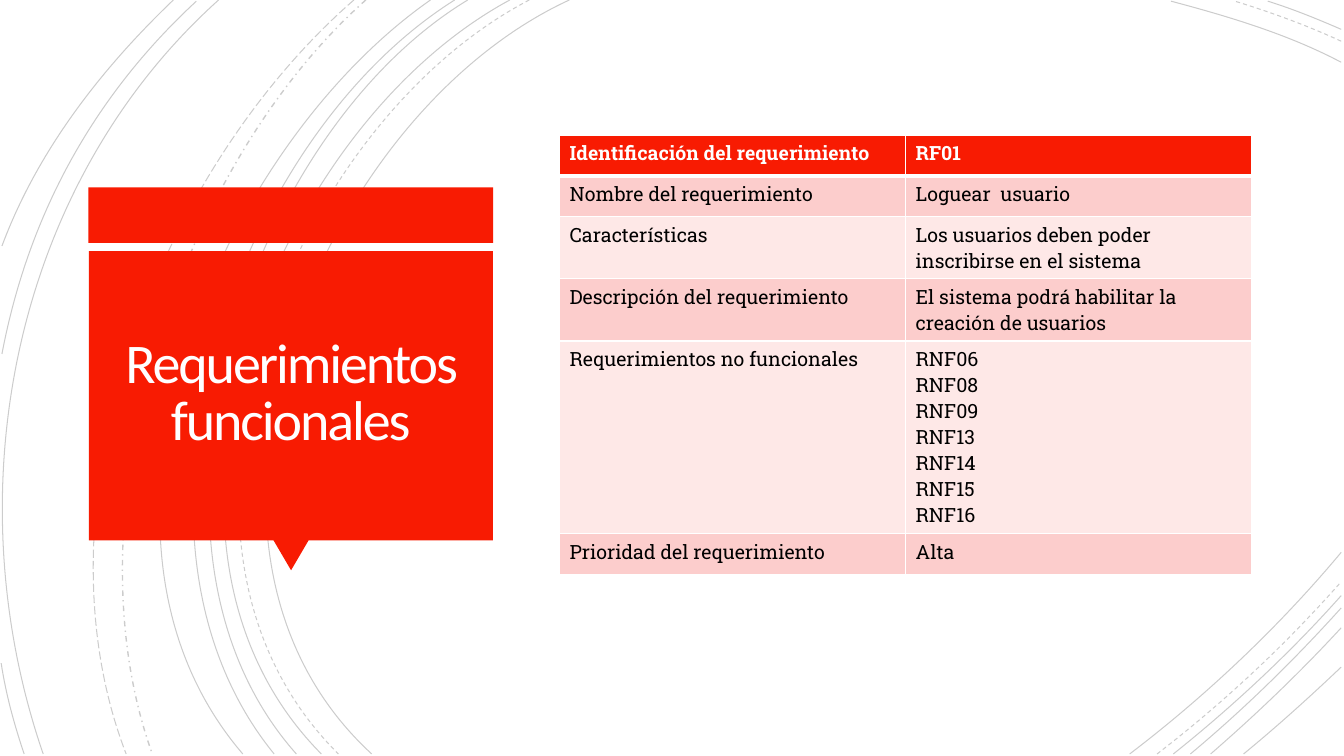
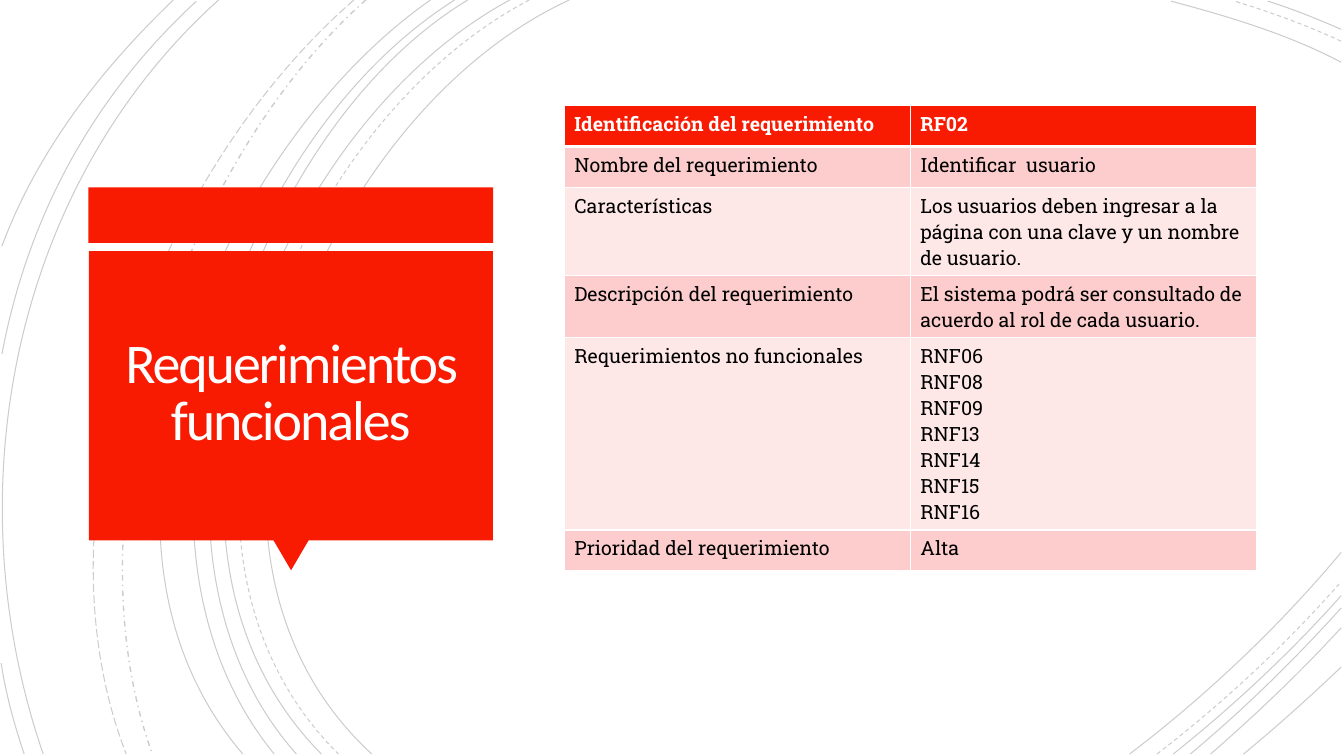
import lxml.etree
import pptx
import pptx.dml.color
import pptx.enum.dml
import pptx.enum.shapes
import pptx.enum.text
import pptx.oxml.ns
import pptx.util

Cm = pptx.util.Cm
Pt = pptx.util.Pt
qn = pptx.oxml.ns.qn
Shape = pptx.enum.shapes.MSO_SHAPE
Dash = pptx.enum.dml.MSO_LINE

COLORS = {
    "accent": "F81B02",
    "title": "FFFEFF",
    "white": "FFFFFF",
    "black": "000000",
    "dark_band": "FCCDCC",
    "light_band": "FEE8E7",
}
TITLE_FONT = "Calibri"
TABLE_FONT = "Roboto Slab"

# Areas are left, top, width, height in centimetres.
BAND = (2.23, 4.72, 10.2, 1.4)
PANEL = (2.24, 6.33, 10.18, 7.29)
POINTER = (6.89, 13.61, 0.89, 0.76)
TITLE = (2.46, 6.53, 9.73, 6.83)

BOTTOM = 19
RIGHT = 33.8
COLUMN_WIDTH = 8.72
MINIMUM_ROW_HEIGHT = 1.03
LINE_HEIGHT = 0.65
CELL_PADDING = 0.25

# Start x at the top, two control points, end x at the bottom, dash.
LONG_ARCS = [
    (14.35, (8, 2.92), (3.63, 13.72), 9.37, Dash.SOLID),
    (13.34, (7.24, 3.18), (3.12, 13.64), 8.53, Dash.DASH),
    (12.85, (6.86, 3.23), (2.79, 13.64), 8.1, Dash.SOLID),
    (11.79, (6.2, 3.38), (2.79, 13.74), 7.47, Dash.SOLID),
    (11.46, (5.87, 3.51), (2.46, 13.54), 6.91, Dash.SOLID),
    (10.85, (5.51, 3.73), (1.35, 13.44), 6.12, Dash.SOLID),
    (9.22, (4.47, 4.22), (1.65, 12.93), 3.84, Dash.DASH_DOT),
    (8.92, (3.99, 4.29), (0.74, 12.67), 3.18, Dash.LONG_DASH),
    (5.51, (0.28, 4.7), (-1.17, 12.45), 1.09, Dash.SOLID),
]
# Start y at the right, two control points, end x at the top, dash.
TOP_RIGHT_ARCS = [
    (1.57, (32.46, 0.86), (30.94, 0.41), 29.51, Dash.SOLID),
    (1.04, (32.94, 0.64), (32, 0.3), 31.12, Dash.DASH),
    (0.74, (33.2, 0.48), (32.59, 0.23), 31.95, Dash.SOLID),
]
# Start x at the bottom, two control points, end y at the right, dash.
BOTTOM_RIGHT_ARCS = [
    (28.47, (30.4, 17.53), (32.23, 15.8), 13.92, Dash.SOLID),
    (29.16, (30.81, 17.73), (32.39, 16.26), 14.66, Dash.DASH),
    (29.57, (31.06, 17.81), (32.51, 16.46), 15.01, Dash.SOLID),
    (30, (31.34, 17.88), (32.61, 16.64), 15.32, Dash.SOLID),
    (30.51, (31.65, 18.01), (32.77, 16.94), 15.82, Dash.SOLID),
    (31.34, (32.18, 18.31), (32.99, 17.58), 16.81, Dash.SOLID),
]
LEFT_ARCS = [
    ((4.95, 0.03), (2.34, 2.44), (0.71, 5.44), (0.05, 8.92)),
    ((0.03, 16.71), (0.15, 17.5), (0.36, 18.26), (0.61, BOTTOM)),
    ((4.37, 0), (2.54, 1.75), (0.94, 3.81), (0.05, 6.2)),
]

ROW_LABELS = [
    "Identificación del requerimiento",
    "Nombre del requerimiento",
    "Características",
    "Descripción del requerimiento",
    "Requerimientos no funcionales",
    "Prioridad del requerimiento",
]
NON_FUNCTIONAL = "\n".join(f"RNF{number}" for number in ("06", "08", "09", "13", "14", "15", "16"))

# Table corner, values and the number of text lines in each row.
REQUIREMENTS = [
    {
        "corner": (14.1, 3.4),
        "values": [
            "RF01",
            "Loguear  usuario",
            "Los usuarios deben poder inscribirse en el sistema",
            "El sistema podrá habilitar la creación de usuarios",
            NON_FUNCTIONAL,
            "Alta",
        ],
        "lines": [1, 1, 2, 2, 7, 1],
    },
    {
        "corner": (14.22, 2.66),
        "values": [
            "RF02",
            "Identificar  usuario",
            "Los usuarios deben ingresar a la página con una clave y un nombre de usuario.",
            "El sistema podrá ser consultado de acuerdo al rol de cada usuario.",
            NON_FUNCTIONAL,
            "Alta",
        ],
        "lines": [1, 1, 3, 2, 7, 1],
    },
]


def rgb(name):
    return pptx.dml.color.RGBColor.from_string(COLORS[name])


def place(shape, area):
    shape.left, shape.top, shape.width, shape.height = (Cm(length) for length in area)


def set_font(font, name, size, color, bold=False):
    font.name = name
    font.size = Pt(size)
    font.bold = bold
    font.color.rgb = rgb(color)


def bend(freeform):
    """Turn the three line segments of a freeform into one cubic Bézier curve."""
    outline = freeform.element.find(".//" + qn("a:path"))
    curve = lxml.etree.SubElement(outline, qn("a:cubicBezTo"))
    for segment in outline.findall(qn("a:lnTo")):
        curve.append(segment.find(qn("a:pt")))
        outline.remove(segment)


def add_arc(slide, start, control_1, control_2, end, dash=Dash.SOLID):
    points = [(Cm(x), Cm(y)) for x, y in (start, control_1, control_2, end)]
    builder = slide.shapes.build_freeform(*points[0])
    builder.add_line_segments(points[1:], close=False)
    arc = builder.convert_to_shape()
    bend(arc)
    arc.shadow.inherit = False
    arc.fill.background()
    arc.line.width = Pt(1 if dash == Dash.DASH_DOT else 0.75)
    arc.line.color.rgb = rgb("black")
    arc.line.dash_style = dash
    color = arc.element.find(".//" + qn("a:ln")).find(".//" + qn("a:srgbClr"))
    lxml.etree.SubElement(color, qn("a:alpha"), val="20000")


def add_arcs(slide):
    for x, control_1, control_2, end_x, dash in LONG_ARCS:
        add_arc(slide, (x, 0), control_1, control_2, (end_x, BOTTOM), dash)
    for y, control_1, control_2, end_x, dash in TOP_RIGHT_ARCS:
        add_arc(slide, (RIGHT, y), control_1, control_2, (end_x, 0.03), dash)
    for x, control_1, control_2, end_y, dash in BOTTOM_RIGHT_ARCS:
        add_arc(slide, (x, BOTTOM), control_1, control_2, (RIGHT, end_y), dash)
    for arc in LEFT_ARCS:
        add_arc(slide, *arc)


def add_block(slide, kind, area, rotation=0):
    block = slide.shapes.add_shape(kind, *(Cm(length) for length in area))
    block.rotation = rotation
    block.shadow.inherit = False
    block.fill.solid()
    block.fill.fore_color.rgb = rgb("accent")
    block.line.fill.background()


def decorate_layout(layout, slide):
    """Draw the shared decoration on the slide, then move it to its layout."""
    for placeholder in list(layout.placeholders):
        if placeholder.placeholder_format.type == pptx.enum.shapes.PP_PLACEHOLDER.TITLE:
            place(placeholder, TITLE)
        else:
            layout.shapes.element.remove(placeholder.element)
    add_arcs(slide)
    add_block(slide, Shape.RECTANGLE, BAND)
    add_block(slide, Shape.ISOSCELES_TRIANGLE, POINTER, rotation=180)
    add_block(slide, Shape.RECTANGLE, PANEL)
    for shape in list(slide.shapes):
        if not shape.is_placeholder:
            layout.shapes.element.append(shape.element)


def set_title(slide, text):
    title = slide.shapes.title
    place(title, TITLE)
    frame = title.text_frame
    frame.text = text
    frame.word_wrap = True
    frame.auto_size = pptx.enum.text.MSO_AUTO_SIZE.NONE
    frame.vertical_anchor = pptx.enum.text.MSO_ANCHOR.MIDDLE
    frame.margin_left = frame.margin_right = frame.margin_top = frame.margin_bottom = Cm(0.64)
    paragraph = frame.paragraphs[0]
    paragraph.alignment = pptx.enum.text.PP_ALIGN.CENTER
    paragraph.line_spacing = 0.85
    set_font(paragraph.font, TITLE_FONT, 40, "title")
    paragraph._p.get_or_add_pPr().get_or_add_defRPr().set("spc", "-150")


def set_borders(cell, top, bottom):
    """Give the cell white borders; top and bottom are widths in points."""
    properties = cell._tc.get_or_add_tcPr()
    for side, width in (("L", 1), ("R", 1), ("T", top), ("B", bottom)):
        line = lxml.etree.SubElement(properties, qn("a:ln" + side), w=str(Pt(width)))
        fill = lxml.etree.SubElement(line, qn("a:solidFill"))
        lxml.etree.SubElement(fill, qn("a:srgbClr"), val=COLORS["white"])


def format_cell(cell, text, row_index):
    is_header = row_index == 0
    set_borders(cell, top=3 if row_index == 1 else 1, bottom=3 if is_header else 1)
    band = "dark_band" if row_index % 2 else "light_band"
    cell.fill.solid()
    cell.fill.fore_color.rgb = rgb("accent" if is_header else band)
    cell.text = text
    for paragraph in cell.text_frame.paragraphs:
        set_font(paragraph.font, TABLE_FONT, 14, "white" if is_header else "black", is_header)


def add_requirement_table(slide, corner, values, lines):
    heights = [max(MINIMUM_ROW_HEIGHT, CELL_PADDING + LINE_HEIGHT * count) for count in lines]
    left, top = corner
    table = slide.shapes.add_table(
        len(values), 2, Cm(left), Cm(top), Cm(2 * COLUMN_WIDTH), Cm(sum(heights))
    ).table
    for column in table.columns:
        column.width = Cm(COLUMN_WIDTH)
    for row_index, row_texts in enumerate(zip(ROW_LABELS, values)):
        table.rows[row_index].height = Cm(heights[row_index])
        for column_index, text in enumerate(row_texts):
            format_cell(table.cell(row_index, column_index), text, row_index)


def main():
    presentation = pptx.Presentation()
    presentation.slide_width = Cm(33.87)
    presentation.slide_height = Cm(19.05)
    layout = presentation.slide_layouts.get_by_name("Title Only")
    slides = [presentation.slides.add_slide(layout) for _ in REQUIREMENTS]
    decorate_layout(layout, slides[0])
    for slide, requirement in zip(slides, REQUIREMENTS):
        set_title(slide, "Requerimientos funcionales")
        add_requirement_table(slide, **requirement)
    presentation.save("out.pptx")


if __name__ == "__main__":
    main()
